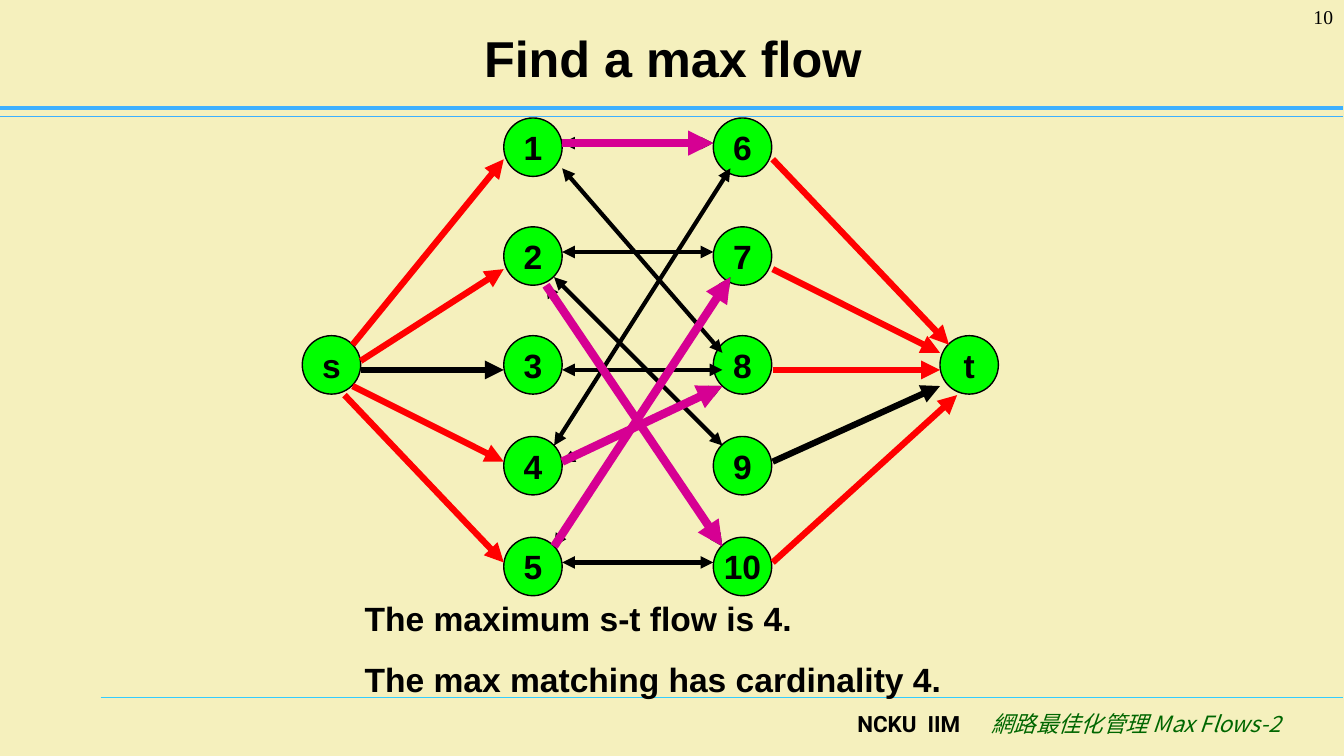
from dataclasses import dataclass

import lxml.etree
import pptx
import pptx.dml.color
import pptx.enum.shapes
import pptx.enum.text
import pptx.oxml.ns
import pptx.slide
import pptx.text.text
import pptx.util

Inches = pptx.util.Inches
Align = pptx.enum.text.PP_ALIGN
Anchor = pptx.enum.text.MSO_ANCHOR
qn = pptx.oxml.ns.qn


@dataclass(frozen=True)
class Theme:
    background: str = "F5F0BD"
    ink: str = "000000"
    node: str = "00FF00"
    flow: str = "FF0000"
    matching: str = "D60093"
    rule: str = "3DB0FF"
    footer_rule: str = "33CCFF"
    course: str = "006600"
    body_font: str = "Arial"
    number_font: str = "Times New Roman"
    school_font: str = "Roboto"
    course_font: str = "Noto Sans CJK SC"
    title_size: float = 36
    body_size: float = 24
    footer_size: float = 16
    number_size: float = 14


THEME = Theme()


@dataclass(frozen=True)
class TextStyle:
    size: float = THEME.body_size
    font: str = THEME.body_font
    color: str = THEME.ink
    bold: bool = True
    italic: bool = False


@dataclass(frozen=True)
class Node:
    label: str
    left: float
    top: float


@dataclass(frozen=True)
class Line:
    start: tuple[float, float]
    end: tuple[float, float]
    color: str
    width: float
    heads: tuple[str, ...] = ()


@dataclass(frozen=True)
class Label:
    lines: tuple[str, ...]
    box: tuple[float, float, float, float]
    style: TextStyle
    align: Align = Align.RIGHT
    anchor: Anchor = Anchor.TOP
    space_before: float = 0


NODE_SIZE = 0.58
ROW_TOPS = (1.17, 2.25, 3.33, 4.33, 5.33)
COLUMN_LEFTS = (5, 7.08)
NODES = [
    Node(str(column * len(ROW_TOPS) + row + 1), left, top)
    for column, left in enumerate(COLUMN_LEFTS)
    for row, top in enumerate(ROW_TOPS)
] + [Node("s", 3, ROW_TOPS[2]), Node("t", 9.33, ROW_TOPS[2])]

RULES = [
    Line((1, 6.92), (13.33, 6.92), THEME.footer_rule, 0.75),
    Line((0, 1.16), (13.33, 1.16), THEME.rule, 0.75),
    Line((0, 1.07), (13.33, 1.07), THEME.rule, 2.5),
]

MATCHED_PAIRS = [
    ((5.58, 1.42), (7.08, 1.42)),
    ((5.42, 2.83), (7.17, 5.42)),
    ((5.58, 4.58), (7.17, 3.83)),
    ((5.5, 5.42), (7.25, 2.75)),
]
UNMATCHED_PAIRS = [
    ((5.58, 2.5), (7.08, 2.5)),
    ((5.5, 2.75), (7.17, 4.42)),
    ((5.58, 5.58), (7.08, 5.58)),
    ((5.58, 1.67), (7.17, 3.5)),
    ((5.58, 3.67), (7.17, 3.67)),
    ((5.5, 4.42), (7.25, 1.67)),
]
UNUSED_ARCS = [((3.58, 3.67), (5, 3.67)), ((7.67, 4.58), (9.33, 3.83))]
FLOW_ARCS = [
    ((3.5, 3.42), (5, 1.58)),
    ((3.58, 3.58), (5, 2.67)),
    ((3.5, 3.83), (5, 4.58)),
    ((3.42, 3.92), (5, 5.58)),
    ((7.67, 1.58), (9.42, 3.42)),
    ((7.67, 2.67), (9.33, 3.5)),
    ((7.67, 3.67), (9.33, 3.67)),
    ((7.67, 5.58), (9.5, 3.92)),
]
ARROW_GROUPS = [
    (UNUSED_ARCS, THEME.ink, 4.5, ("tailEnd",)),
    (UNMATCHED_PAIRS + MATCHED_PAIRS, THEME.ink, 3, ("headEnd", "tailEnd")),
    (FLOW_ARCS, THEME.flow, 4.5, ("tailEnd",)),
    (MATCHED_PAIRS, THEME.matching, 6, ("tailEnd",)),
]
ARROWS = [
    Line(start, end, color, width, heads)
    for arcs, color, width, heads in ARROW_GROUPS
    for start, end in arcs
]

LABELS = [
    Label(("Find a max flow",), (0.68, 0.13, 12, 0.87),
          TextStyle(size=THEME.title_size), Align.CENTER, Anchor.MIDDLE),
    Label(("10",), (12.22, 0, 1.11, 0.5),
          TextStyle(THEME.number_size, THEME.number_font, bold=False)),
    Label(("NCKU  IIM",), (7.63, 7, 2, 0.5),
          TextStyle(THEME.footer_size, THEME.school_font)),
    Label(("網路最佳化管理 Max Flows-2",), (9.31, 7, 3.5, 0.5),
          TextStyle(THEME.footer_size, THEME.course_font, THEME.course, False, True)),
    Label(("The maximum s-t flow is 4.", "The max matching has cardinality 4."),
          (3.52, 5.88, 6.75, 1.11), TextStyle(), Align.LEFT, space_before=15),
]


def rgb(color: str) -> pptx.dml.color.RGBColor:
    return pptx.dml.color.RGBColor.from_string(color)


def style_paragraph(paragraph: pptx.text.text._Paragraph, style: TextStyle, align: Align) -> None:
    paragraph.alignment = align
    font = paragraph.font
    font.size, font.name = pptx.util.Pt(style.size), style.font
    font.bold, font.italic = style.bold, style.italic
    font.color.rgb = rgb(style.color)
    properties = paragraph._p.pPr.find(qn("a:defRPr"))
    lxml.etree.SubElement(properties, qn("a:ea")).set("typeface", style.font)


def draw_line(slide: pptx.slide.Slide, line: Line) -> None:
    connector = slide.shapes.add_connector(
        pptx.enum.shapes.MSO_CONNECTOR.STRAIGHT, *map(Inches, line.start + line.end))
    connector.line.color.rgb = rgb(line.color)
    connector.line.width = pptx.util.Pt(line.width)
    for head in line.heads:
        lxml.etree.SubElement(connector.line._ln, qn(f"a:{head}")).set("type", "triangle")
    lxml.etree.SubElement(connector._element.spPr, qn("a:effectLst"))


def draw_node(slide: pptx.slide.Slide, node: Node) -> None:
    shape = slide.shapes.add_shape(
        pptx.enum.shapes.MSO_SHAPE.OVAL,
        *map(Inches, (node.left, node.top, NODE_SIZE, NODE_SIZE)))
    shape.shadow.inherit = False
    shape.fill.solid()
    shape.fill.fore_color.rgb = rgb(THEME.node)
    shape.line.color.rgb = rgb(THEME.ink)
    shape.line.width = pptx.util.Pt(1)
    frame = shape.text_frame
    frame.word_wrap = False
    frame.vertical_anchor = Anchor.MIDDLE
    frame.text = node.label
    style_paragraph(frame.paragraphs[0], TextStyle(), Align.CENTER)


def draw_label(slide: pptx.slide.Slide, label: Label) -> None:
    frame = slide.shapes.add_textbox(*map(Inches, label.box)).text_frame
    frame.word_wrap = True
    frame.vertical_anchor = label.anchor
    frame.text = "\n".join(label.lines)
    for index, paragraph in enumerate(frame.paragraphs):
        if index:
            paragraph.space_before = pptx.util.Pt(label.space_before)
        style_paragraph(paragraph, label.style, label.align)


def main() -> None:
    presentation = pptx.Presentation()
    presentation.slide_width, presentation.slide_height = Inches(13.34), Inches(7.5)
    slide = presentation.slides.add_slide(presentation.slide_layouts[6])
    slide.background.fill.solid()
    slide.background.fill.fore_color.rgb = rgb(THEME.background)
    for rule in RULES:
        draw_line(slide, rule)
    for node in NODES:
        draw_node(slide, node)
    for arrow in ARROWS:
        draw_line(slide, arrow)
    for label in LABELS:
        draw_label(slide, label)
    presentation.save("out.pptx")


if __name__ == "__main__":
    main()
